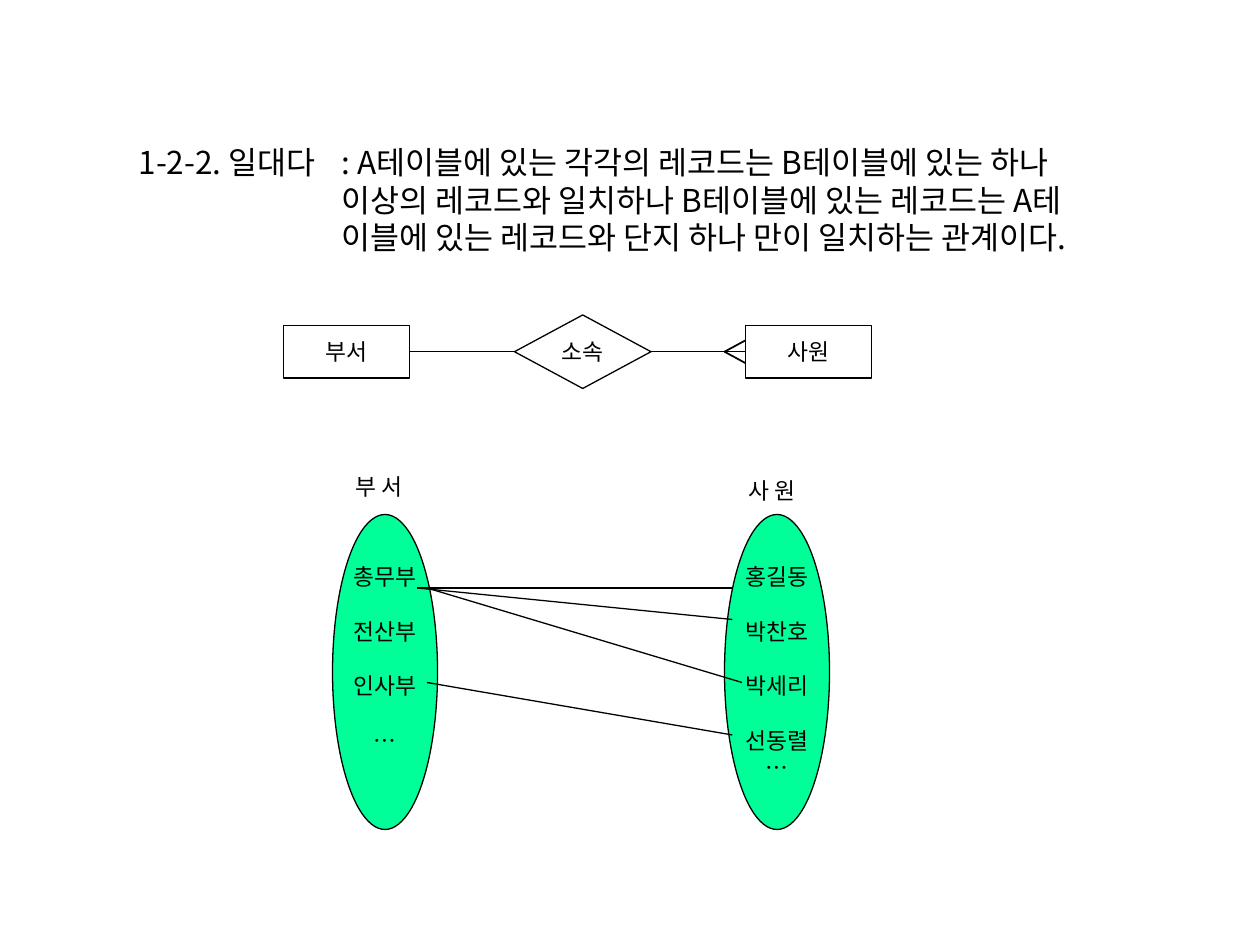
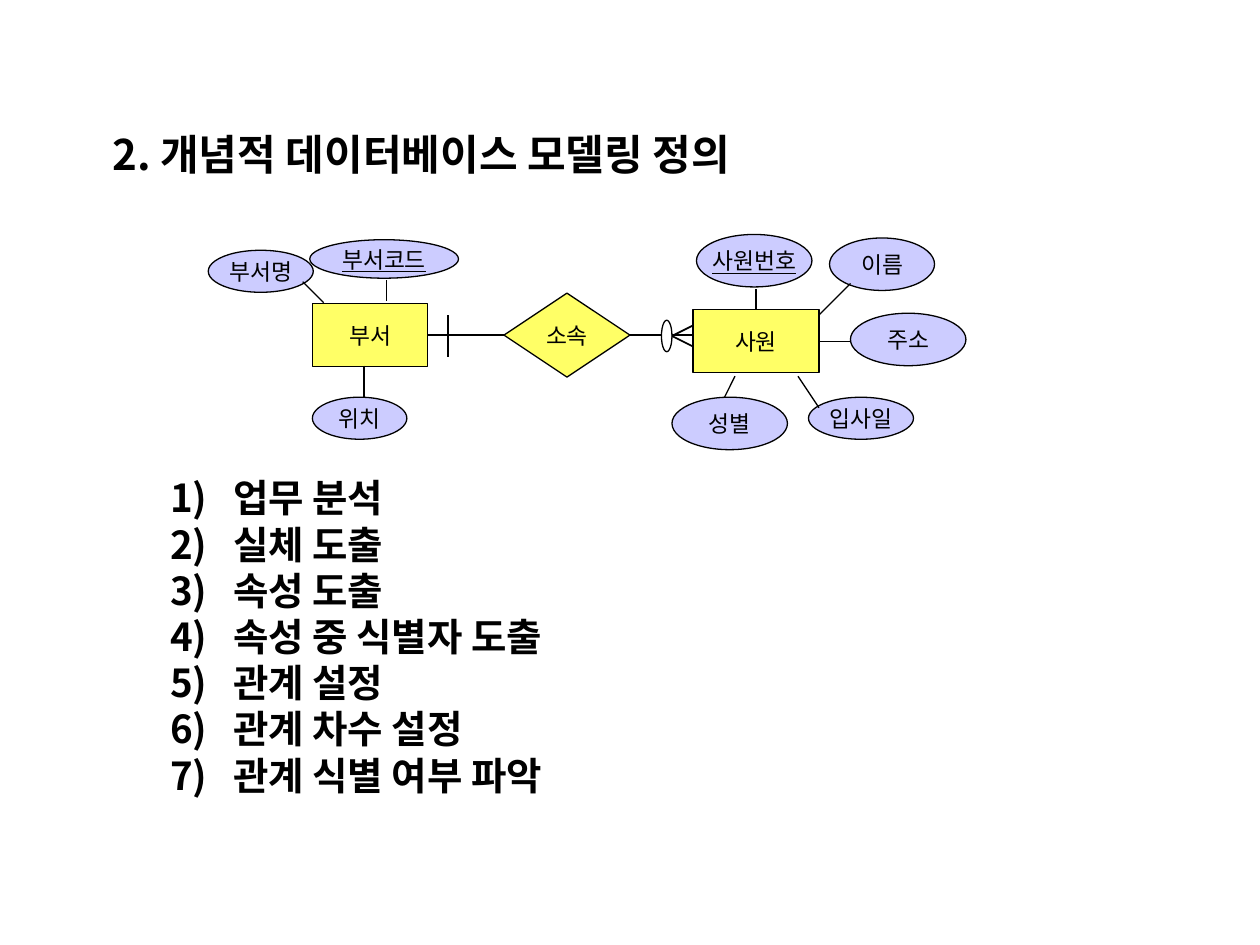
from dataclasses import dataclass

from lxml import etree
from pptx import Presentation
from pptx.dml.color import RGBColor
from pptx.enum.shapes import MSO_CONNECTOR, MSO_SHAPE
from pptx.enum.text import MSO_ANCHOR, MSO_AUTO_SIZE, PP_ALIGN
from pptx.oxml.ns import qn
from pptx.util import Pt

RECT, DIAMOND, OVAL = MSO_SHAPE.RECTANGLE, MSO_SHAPE.DIAMOND, MSO_SHAPE.OVAL
STRAIGHT = MSO_CONNECTOR.STRAIGHT
LEFT, CENTER = PP_ALIGN.LEFT, PP_ALIGN.CENTER
TOP_ANCHOR, MIDDLE_ANCHOR = MSO_ANCHOR.TOP, MSO_ANCHOR.MIDDLE
NO_AUTOFIT = MSO_AUTO_SIZE.NONE

FONT = "Noto Sans CJK KR"
BLACK = RGBColor(0x00, 0x00, 0x00)
WHITE = RGBColor(0xFF, 0xFF, 0xFF)
GREEN = RGBColor(0x00, 0xFF, 0x99)
YELLOW = RGBColor(0xFF, 0xFF, 0x66)
LAVENDER = RGBColor(0xCC, 0xCC, 0xFF)

LABEL_SIZE = 13
LINE_HEIGHT = 1.2
LABEL_LINE = LABEL_SIZE * LINE_HEIGHT
INSET_X, INSET_Y = 7.2, 3.6
TITLE_LAYOUT_WITH_LIST, TITLE_LAYOUT = 1, 5
TOP, LEFT_SIDE, BOTTOM, RIGHT_SIDE = range(4)


@dataclass(frozen=True)
class Node:
    kind: int
    x: float
    y: float
    width: float
    height: float
    fill: RGBColor
    lines: tuple[str, ...] = ()
    gaps: tuple[float, ...] = ()
    underline: bool = False
    line: RGBColor = BLACK
    bottom_inset: float = INSET_Y


@dataclass(frozen=True)
class Link:
    x1: float
    y1: float
    x2: float
    y2: float
    weight: float = 0.75


def write_text(frame, lines, *, size=LABEL_SIZE, bold=False, underline=False,
               align=LEFT, anchor=TOP_ANCHOR, wrap=True, gaps=(), margin=0,
               indent=0, numbered=False, bottom_inset=INSET_Y) -> None:
    """Fill a text frame with one paragraph per line."""
    frame.auto_size = NO_AUTOFIT
    frame.word_wrap = wrap
    frame.vertical_anchor = anchor
    frame.margin_left = frame.margin_right = Pt(INSET_X)
    frame.margin_top, frame.margin_bottom = Pt(INSET_Y), Pt(bottom_inset)
    for index, line in enumerate(lines):
        paragraph = frame.paragraphs[0] if index == 0 else frame.add_paragraph()
        paragraph.text = line
        properties = paragraph._p.get_or_add_pPr()
        properties.set("marL", str(Pt(margin)))
        properties.set("indent", str(Pt(indent)))
        if numbered:
            etree.SubElement(properties, qn("a:buAutoNum"), type="arabicParenR")
        else:
            etree.SubElement(properties, qn("a:buNone"))
        paragraph.alignment = align
        paragraph.line_spacing = Pt(size * LINE_HEIGHT)
        paragraph.space_before = Pt(gaps[index] if gaps else 0)
        paragraph.space_after = Pt(0)
        for run in paragraph.runs:
            font = run.font
            font.name, font.size = FONT, Pt(size)
            font.bold, font.underline = bold, underline
            font.color.rgb = BLACK
            etree.SubElement(font._element, qn("a:ea"), typeface=FONT)


def place(shape, x: float, y: float, width: float, height: float) -> None:
    shape.left, shape.top = Pt(x), Pt(y)
    shape.width, shape.height = Pt(width), Pt(height)


def draw_node(slide, node: Node):
    shape = slide.shapes.add_shape(
        node.kind, Pt(node.x), Pt(node.y), Pt(node.width), Pt(node.height))
    shape.shadow.inherit = False
    shape.fill.solid()
    shape.fill.fore_color.rgb = node.fill
    shape.line.color.rgb = node.line
    shape.line.width = Pt(0.75)
    write_text(shape.text_frame, node.lines, align=CENTER, anchor=MIDDLE_ANCHOR,
               wrap=False, gaps=node.gaps, underline=node.underline,
               bottom_inset=node.bottom_inset)
    return shape


def draw_link(slide, link: Link, start=None, end=None) -> None:
    """Draw a line; start and end are optional (shape, side) joints."""
    connector = slide.shapes.add_connector(
        STRAIGHT, Pt(link.x1), Pt(link.y1), Pt(link.x2), Pt(link.y2))
    connector.line.color.rgb = BLACK
    connector.line.width = Pt(link.weight)
    etree.SubElement(connector._element.spPr, qn("a:effectLst"))
    if start:
        connector.begin_connect(*start)
    if end:
        connector.end_connect(*end)


def draw_crow_foot(slide, x: float, y: float, spread: float) -> None:
    for side in (-spread, spread):
        draw_link(slide, Link(x, y, x + 12, y + side, 1))


def build_one_to_many(deck) -> None:
    slide = deck.slides.add_slide(deck.slide_layouts[TITLE_LAYOUT])

    # Definition, hanging behind its term
    definition = slide.shapes.title
    place(definition, 57, 78, 627, 94)
    write_text(definition.text_frame, [
        "1-2-2. 일대다\t: A테이블에 있는 각각의 레코드는 B테이블에 있는 하나\v"
        "이상의 레코드와 일치하나 B테이블에 있는 레코드는 A테\v"
        "이블에 있는 레코드와 단지 하나 만이 일치하는 관계이다."],
        size=18, margin=131, indent=-116)

    # Relationship diagram
    department = draw_node(slide, Node(RECT, 162, 186, 72, 30, WHITE, ("부서",)))
    employee = draw_node(slide, Node(RECT, 426, 186, 72, 30, WHITE, ("사원",)))
    belongs = draw_node(slide, Node(DIAMOND, 294, 180, 78, 42, WHITE, ("소속",)))
    draw_link(slide, Link(234, 201, 294, 201),
              (department, RIGHT_SIDE), (belongs, LEFT_SIDE))
    draw_link(slide, Link(372, 201, 426, 201),
              (belongs, RIGHT_SIDE), (employee, LEFT_SIDE))
    draw_crow_foot(slide, 414, 201, 6.5)

    # Sets of records with their captions
    gap = LABEL_LINE
    for node in (
        Node(OVAL, 414, 294, 60, 180, GREEN,
             ("홍길동", "박찬호", "박세리", "선동렬", "…"), (0, gap, gap, gap, 0)),
        Node(OVAL, 190, 294, 60, 180, GREEN,
             ("총무부", "전산부", "인사부", "…"), (0, gap, gap, gap),
             bottom_inset=INSET_Y + gap),
        Node(RECT, 414, 268, 54, 24, WHITE, ("사 원",), line=WHITE),
        Node(RECT, 189.5, 266, 54, 24, WHITE, ("부 서",), line=WHITE),
    ):
        draw_node(slide, node)

    # Matches between records
    for match in (Link(238.5, 336, 418.5, 354), Link(238.5, 336, 418.5, 336),
                  Link(244, 336, 424, 390), Link(244, 390, 418.5, 420)):
        draw_link(slide, match)


def build_conceptual_modeling(deck) -> None:
    slide = deck.slides.add_slide(deck.slide_layouts[TITLE_LAYOUT_WITH_LIST])

    # Title and numbered steps
    title, steps = slide.shapes.title, slide.placeholders[1]
    place(title, 57, 70, 627, 60)
    write_text(title.text_frame, ["2. 개념적 데이터베이스 모델링 정의"],
               size=24, bold=True)
    place(steps, 90, 267.5, 582, 192)
    write_text(steps.text_frame, [
        "업무 분석", "실체 도출", "속성 도출", "속성 중 식별자 도출",
        "관계 설정", "관계 차수 설정", "관계 식별 여부 파악"],
        size=22, bold=True, margin=36, indent=-36, numbered=True)

    # Entities and their relationship
    employee = draw_node(slide, Node(RECT, 396, 177, 72, 36, YELLOW, ("사원",)))
    department = draw_node(slide, Node(RECT, 178.5, 173.5, 66, 36, YELLOW, ("부서",)))
    belongs = draw_node(slide, Node(DIAMOND, 288, 167.5, 72, 48, YELLOW, ("소속",)))
    draw_link(slide, Link(244.5, 191.5, 288, 191.5),
              (department, RIGHT_SIDE), (belongs, LEFT_SIDE))
    draw_link(slide, Link(360, 191.5, 396, 191.5), (belongs, RIGHT_SIDE))

    # Attributes; the identifiers are underlined
    for attribute in (
        Node(OVAL, 486, 179, 66, 30, LAVENDER, ("주소",)),
        Node(OVAL, 384, 227, 66, 30, LAVENDER, ("성별",)),
        Node(OVAL, 474, 136, 60, 30, LAVENDER, ("이름",)),
        Node(OVAL, 398, 134, 66, 30, LAVENDER, ("사원번호",), underline=True),
        Node(OVAL, 462, 227, 60, 24, LAVENDER, ("입사일",)),
        Node(OVAL, 119, 143, 60, 24, LAVENDER, ("부서명",)),
        Node(OVAL, 177, 137, 85, 22, LAVENDER, ("부서코드",), underline=True),
        Node(OVAL, 178.5, 227, 54, 24, LAVENDER, ("위치",)),
    ):
        draw_node(slide, attribute)
    draw_link(slide, Link(432, 177, 432, 165), (employee, TOP))
    draw_link(slide, Link(468, 195, 486, 195), (employee, RIGHT_SIDE))
    for stem in (Link(414, 227, 420, 215), Link(468, 233, 456, 215),
                 Link(486, 162, 468, 180), Link(221, 172, 221, 160),
                 Link(208, 209, 208, 227), Link(173, 161, 185, 173)):
        draw_link(slide, stem)

    # Cardinality marks: one, optional, many
    draw_link(slide, Link(256, 180, 256, 204))
    draw_node(slide, Node(OVAL, 378, 183, 6, 18, WHITE))
    draw_crow_foot(slide, 384, 192, 6)


def main() -> None:
    deck = Presentation()
    deck.slide_width, deck.slide_height = Pt(720), Pt(540)
    build_one_to_many(deck)
    build_conceptual_modeling(deck)
    deck.save("out.pptx")


if __name__ == "__main__":
    main()
